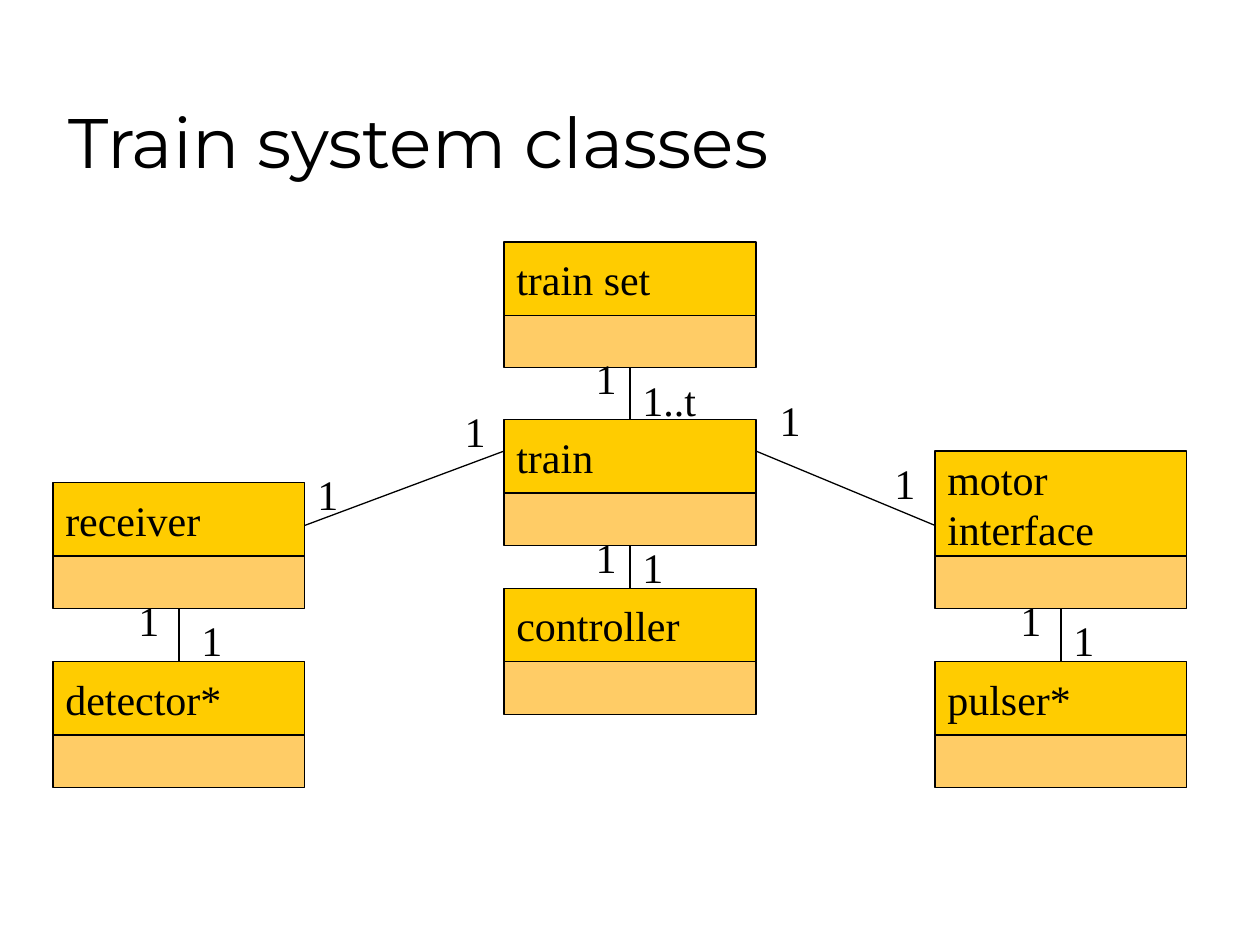
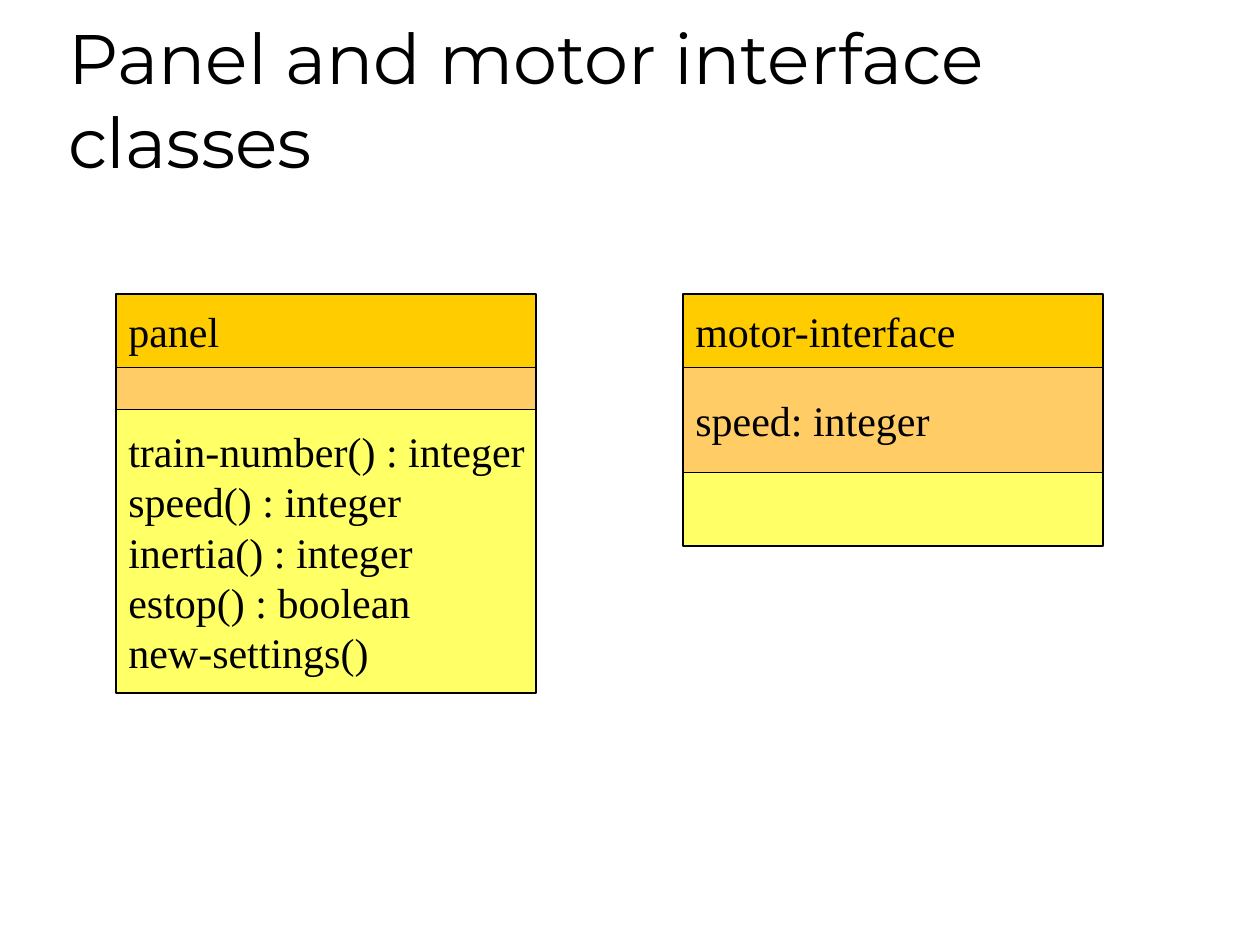
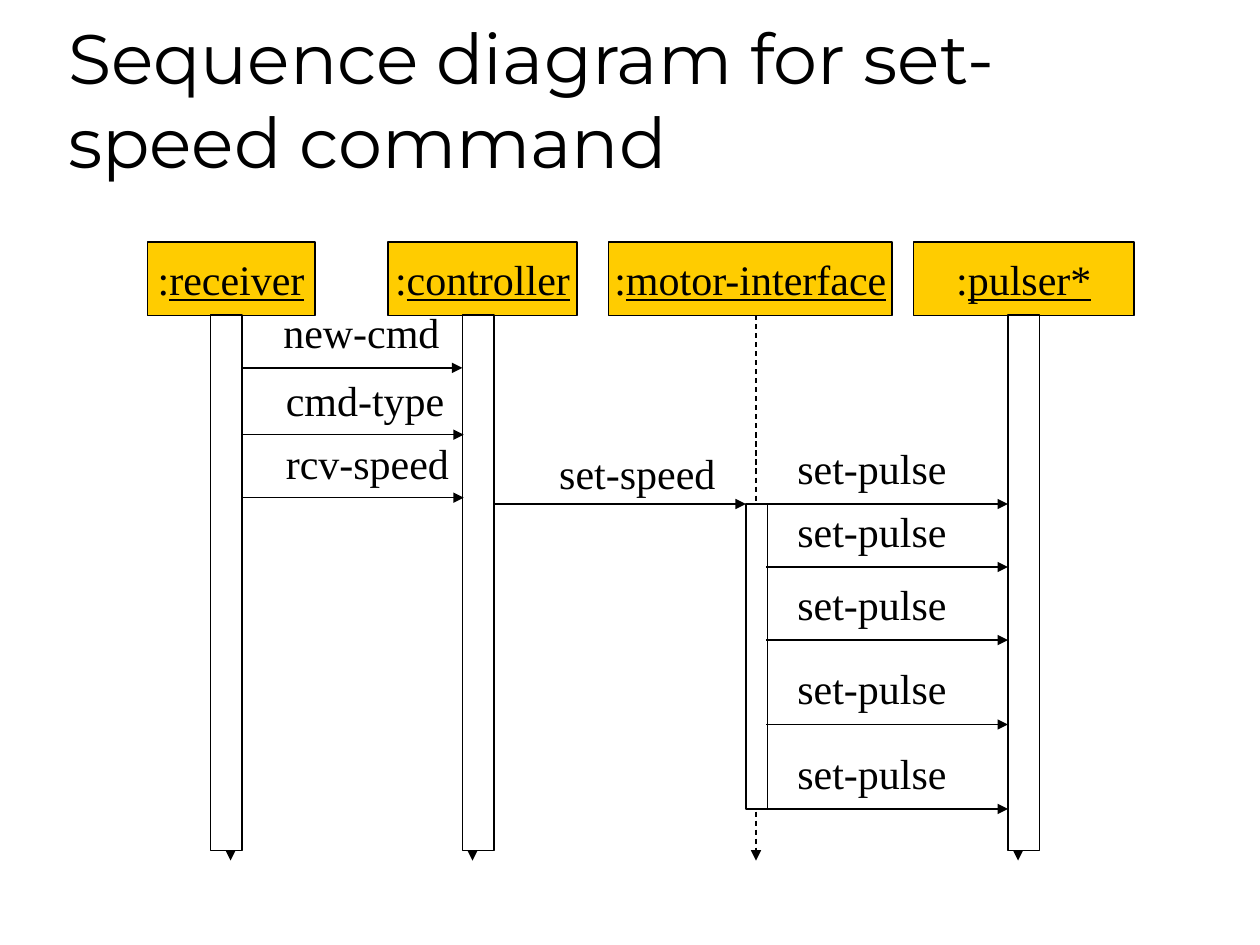
import pptx
import pptx.dml.color
import pptx.enum.dml
import pptx.enum.shapes
import pptx.enum.text
import pptx.oxml.ns
import pptx.util
from lxml import etree
from pptx.util import Inches

TITLE_FONT = "Montserrat"
BODY_FONT = "Times New Roman"
BLACK, WHITE = "000000", "FFFFFF"
NAME_FILL, ATTRIBUTE_FILL, OPERATION_FILL = "FFCC00", "FFCC66", "FFFF66"
SECTION_FILLS = (NAME_FILL, ATTRIBUTE_FILL, OPERATION_FILL)
LINE_WIDTH = pptx.util.Pt(0.75)
# Section heights follow a grid of twelfths of an inch
NAME_HEIGHT, TALL_HEIGHT, ATTRIBUTE_HEIGHT = 7 / 12, 10 / 12, 5 / 12
TOP, BOTTOM = 0, 2  # connection sites of a rectangle
ALIGN = pptx.enum.text.PP_ALIGN
ANCHOR = pptx.enum.text.MSO_ANCHOR
AUTO_SIZE = pptx.enum.text.MSO_AUTO_SIZE


# Shared formatting
def color(hex_string):
    return pptx.dml.color.RGBColor.from_string(hex_string)


def format_paragraph(paragraph, font_name=BODY_FONT, size=24, alignment=ALIGN.LEFT):
    paragraph.alignment = alignment
    paragraph.font.name = font_name
    paragraph.font.size = pptx.util.Pt(size)
    paragraph.font.color.rgb = color(BLACK)


def format_line(line):
    line.color.rgb = color(BLACK)
    line.width = LINE_WIDTH


def add_titled_slide(presentation, text):
    slide = presentation.slides.add_slide(presentation.slide_layouts[5])
    title = slide.shapes.title
    title.left, title.top = Inches(0.44), Inches(0.25)
    title.width, title.height = Inches(8.5), Inches(1.25)
    title.text_frame.text = text
    title.text_frame.word_wrap = True
    title.text_frame.auto_size = AUTO_SIZE.NONE
    title.text_frame.vertical_anchor = ANCHOR.BOTTOM
    format_paragraph(title.text_frame.paragraphs[0], TITLE_FONT, 40)
    return slide


# Diagram elements
def add_box(slide, left, top, width, height, fill, text=""):
    box = slide.shapes.add_shape(
        pptx.enum.shapes.MSO_SHAPE.RECTANGLE,
        Inches(left), Inches(top), Inches(width), Inches(height))
    box.shadow.inherit = False
    box.fill.solid()
    box.fill.fore_color.rgb = color(fill)
    format_line(box.line)
    frame = box.text_frame
    frame.word_wrap = False
    frame.vertical_anchor = ANCHOR.MIDDLE
    if text:
        frame.text = text
        for paragraph in frame.paragraphs:
            format_paragraph(paragraph)
    return box


def add_class(slide, left, top, width, sections):
    """Stack (text, height) sections and return their boxes."""
    boxes = []
    for (text, height), fill in zip(sections, SECTION_FILLS):
        boxes.append(add_box(slide, left, top, width, height, fill, text))
        top += height
    return boxes


def add_line(slide, start, end, arrow=False, dashed=False):
    connector = slide.shapes.add_connector(
        pptx.enum.shapes.MSO_CONNECTOR.STRAIGHT,
        *(Inches(value) for value in start + end))
    format_line(connector.line)
    if dashed:
        connector.line.dash_style = pptx.enum.dml.MSO_LINE.DASH
    properties = connector._element.spPr
    if arrow:
        tail = etree.SubElement(properties.find(pptx.oxml.ns.qn("a:ln")),
                                pptx.oxml.ns.qn("a:tailEnd"))
        tail.set("type", "triangle")
    etree.SubElement(properties, pptx.oxml.ns.qn("a:effectLst"))
    return connector


def add_label(slide, text, left, top, width):
    label = slide.shapes.add_textbox(
        Inches(left), Inches(top), Inches(width), Inches(0.5))
    label.text_frame.text = text
    label.text_frame.word_wrap = False
    label.text_frame.auto_size = AUTO_SIZE.SHAPE_TO_FIT_TEXT
    format_paragraph(label.text_frame.paragraphs[0])


def add_object(slide, name, left, width):
    box = add_box(slide, left, 1.92, width, NAME_HEIGHT, NAME_FILL)
    paragraph = box.text_frame.paragraphs[0]
    paragraph.add_run().text = ":"
    name_run = paragraph.add_run()
    name_run.text = name
    name_run.font.underline = True
    format_paragraph(paragraph, alignment=ALIGN.CENTER)
    return box


def add_message(slide, text, start, end, y, label_left, label_width, lift=0.54):
    add_line(slide, (start, y), (end, y), arrow=True)
    add_label(slide, text, label_left, y - lift, label_width)


# Slides
def build_train_classes(presentation):
    slide = add_titled_slide(presentation, "Train system classes")
    classes = {}
    for name, left, top, name_height in (
            ("train set", 4, 1.92, NAME_HEIGHT),
            ("train", 4, 3.33, NAME_HEIGHT),
            ("receiver", 0.42, 3.83, NAME_HEIGHT),
            ("controller", 4, 4.67, NAME_HEIGHT),
            ("motor\ninterface", 7.42, 3.58, TALL_HEIGHT),
            ("detector*", 0.42, 5.25, NAME_HEIGHT),
            ("pulser*", 7.42, 5.25, NAME_HEIGHT)):
        classes[name] = add_class(
            slide, left, top, 2, [(name, name_height), ("", ATTRIBUTE_HEIGHT)])

    # Vertical associations run from bottom to top side
    for upper, lower in (("train set", "train"), ("train", "controller"),
                         ("receiver", "detector*"), ("motor\ninterface", "pulser*")):
        association = add_line(slide, (5, 3), (5, 3.5))
        association.begin_connect(classes[upper][-1], BOTTOM)
        association.end_connect(classes[lower][0], TOP)
    add_line(slide, (4, 3.58), (2.42, 4.17))
    add_line(slide, (6, 3.58), (7.42, 4.17))

    # Multiplicities
    add_label(slide, "1..t", 5, 2.92, 0.64)
    for left, top in ((4.63, 2.75), (6.09, 3.08), (7, 3.58), (8, 4.67),
                      (8.42, 4.83), (4.63, 4.17), (5, 4.25), (3.59, 3.17),
                      (2.42, 3.67), (1, 4.67), (1.5, 4.83)):
        add_label(slide, "1", left, top, 0.37)


def build_interface_classes(presentation):
    slide = add_titled_slide(presentation, "Panel and motor interface classes")
    operations = "\n".join((
        "train-number() : integer", "speed() : integer", "inertia() : integer",
        "estop() : boolean", "new-settings()"))
    top, width = 7 / 3, 10 / 3
    add_class(slide, 0.92, top, width,
              [("panel", NAME_HEIGHT), ("", 1 / 3), (operations, 2.25)])
    add_class(slide, 5.42, top, width,
              [("motor-interface", NAME_HEIGHT), ("speed: integer", TALL_HEIGHT),
               ("", NAME_HEIGHT)])


def build_sequence(presentation):
    slide = add_titled_slide(presentation, "Sequence diagram for set-speed command")

    # Objects and lifelines
    receiver = add_object(slide, "receiver", 1.17, 1.33)
    add_object(slide, "controller", 3.08, 1.5)
    add_object(slide, "motor-interface", 4.83, 2.25)
    add_object(slide, "pulser*", 7.25, 1.75)
    lifelines = [add_line(slide, (x, 2.5), (x, 6.83), arrow=True, dashed=True)
                 for x in (1.83, 3.75, 6, 8.08)]
    lifelines[0].begin_connect(receiver, BOTTOM)

    # Activations
    for left, top, width, height in ((1.67, 2.5, 0.25, 4.25), (3.67, 2.5, 0.25, 4.25),
                                     (5.92, 4, 0.17, 2.42), (8, 2.5, 0.25, 4.25)):
        add_box(slide, left, top, width, height, WHITE)

    # Messages
    add_message(slide, "new-cmd", 1.92, 3.67, 2.92, 2.15, 1.46)
    add_message(slide, "cmd-type", 1.93, 3.68, 3.45, 2.17, 1.48, lift=0.53)
    add_message(slide, "rcv-speed", 1.93, 3.68, 3.95, 2.17, 1.51, lift=0.53)
    add_message(slide, "set-speed", 3.92, 5.92, 4, 4.34, 1.46, lift=0.5)
    for y in (4, 4.5, 5.08, 5.75, 6.42):
        add_message(slide, "set-pulse", 6.08, 8, y, 6.23, 1.4)


def main():
    presentation = pptx.Presentation()
    presentation.slide_width = Inches(10)
    presentation.slide_height = Inches(7.5)
    build_train_classes(presentation)
    build_interface_classes(presentation)
    build_sequence(presentation)
    presentation.save("out.pptx")


if __name__ == "__main__":
    main()
